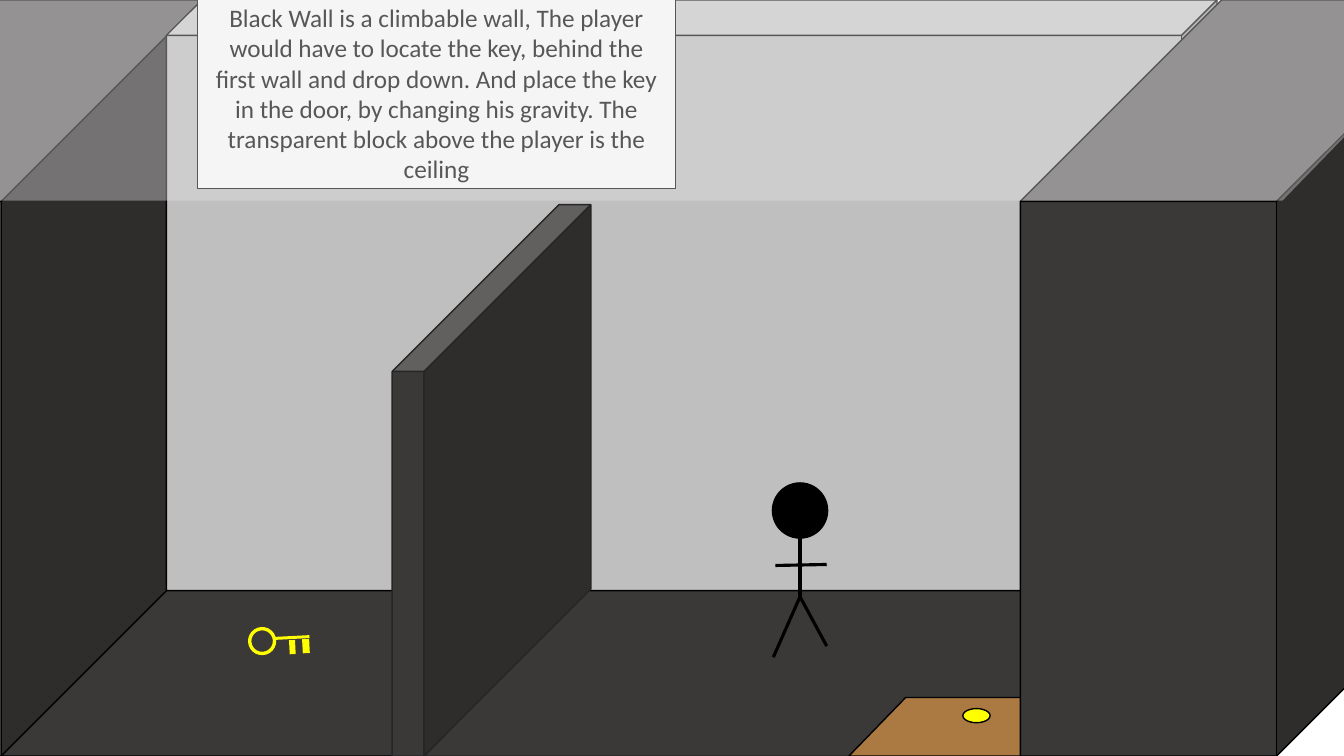
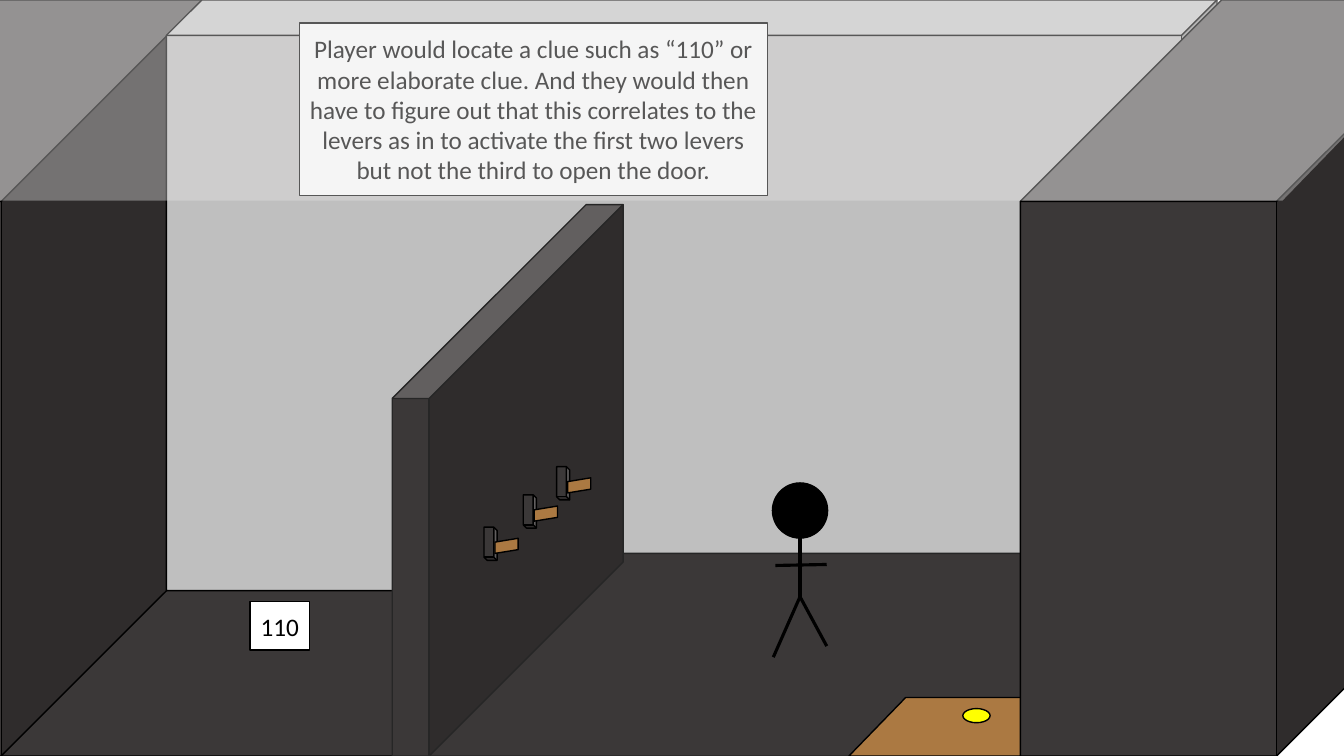
import pptx
import pptx.util
import pptx.dml.color
import pptx.enum.shapes
import pptx.enum.text
import lxml.etree
from pptx.oxml.ns import qn

Inches = pptx.util.Inches
Pt = pptx.util.Pt
SHAPE = pptx.enum.shapes.MSO_SHAPE

COLOURS = {
    "stone": "3B3838",
    "back_wall": "BFBFBF",
    "ceiling": "E7E6E6",
    "wood": "AB7942",
    "yellow": "FFFF00",
    "white": "FFFFFF",
    "black": "000000",
    "soft_edge": "262626",
}
FONT = "Calibri"
SLANT = 0.97
SIDE_DEPTH = 0.44
SIDE_WALL_WIDTH = 4.54
FLOOR_SIZE = (7.85, 2.01)
FLOOR_TOP = 5.49
ROOM_LEFT = -2.53
ROOM_WIDTH = 17.2
ROOM_HEIGHT = 7.5


def colour(name):
    return pptx.dml.color.RGBColor.from_string(COLOURS[name])


def add_block(shapes, kind, box, fill, line="black", weight=1, adjust=None, rotation=0):
    shape = shapes.add_shape(kind, *[Inches(length) for length in box])
    shape.shadow.inherit = False
    shape.fill.solid()
    shape.fill.fore_color.rgb = colour(fill)
    if line:
        shape.line.color.rgb = colour(line)
        shape.line.width = Pt(weight)
    else:
        shape.line.fill.background()
    if adjust is not None:
        shape.adjustments[0] = adjust
    shape.rotation = rotation
    return shape


def add_limb(shapes, start, end):
    limb = shapes.add_connector(
        pptx.enum.shapes.MSO_CONNECTOR.STRAIGHT,
        *[Inches(length) for length in (*start, *end)],
    )
    limb.line.color.rgb = colour("black")
    limb.line.width = Pt(2.25)
    lxml.etree.SubElement(limb._element.spPr, qn("a:effectLst"))


def add_label(slide, box, text):
    shape = add_block(slide.shapes, SHAPE.RECTANGLE, box, "white")
    frame = shape.text_frame
    frame.word_wrap = True
    frame.vertical_anchor = pptx.enum.text.MSO_ANCHOR.MIDDLE
    paragraph = frame.paragraphs[0]
    paragraph.text = text
    paragraph.alignment = pptx.enum.text.PP_ALIGN.CENTER
    paragraph.font.name = FONT
    paragraph.font.size = Pt(18)
    paragraph.font.color.rgb = colour("black")


def add_floor(slide, left, line):
    box = (left, FLOOR_TOP, *FLOOR_SIZE)
    add_block(slide.shapes, SHAPE.PARALLELOGRAM, box, "stone", line, adjust=SLANT)


def add_side_wall(slide, left):
    box = (left, 0, SIDE_WALL_WIDTH, ROOM_HEIGHT)
    add_block(slide.shapes, SHAPE.CUBE, box, "stone", adjust=SIDE_DEPTH)


def add_back_wall(slide):
    add_block(slide.shapes, SHAPE.CUBE, (1.65, 0, 10.42, 5.86), "back_wall", adjust=0.06)


def add_room(slide, floor_before_wall):
    add_floor(slide, -1.15, "black")
    add_side_wall(slide, ROOM_LEFT)
    if floor_before_wall:
        add_floor(slide, 4.21, "soft_edge")
        add_back_wall(slide)
    else:
        add_back_wall(slide)
        add_floor(slide, 4.21, "soft_edge")


def add_divider(slide, width):
    box = (3.89, 2.03, width, ROOM_HEIGHT - 2.03)
    add_block(slide.shapes, SHAPE.CUBE, box, "stone", "soft_edge", adjust=0.84)


def add_ceiling(slide):
    box = (ROOM_LEFT, -0.02, ROOM_WIDTH, 2.01)
    ceiling = add_block(slide.shapes, SHAPE.PARALLELOGRAM, box, "ceiling", None, adjust=SLANT)
    fill_colour = ceiling._element.spPr.find(qn("a:solidFill"))[0]
    lxml.etree.SubElement(fill_colour, qn("a:alpha")).set("val", "38000")


def add_door(slide, left, top):
    shapes = slide.shapes.add_group_shape().shapes
    add_block(shapes, SHAPE.PARALLELOGRAM, (left, top, 2.26, 0.58), "wood", adjust=SLANT)
    add_block(shapes, SHAPE.OVAL, (left + 1.13, top + 0.11, 0.27, 0.14), "yellow")


def add_player(slide, left, top):
    shapes = slide.shapes.add_group_shape().shapes
    head = 0.53
    middle = left + head / 2
    hip = (middle, top + 1.12)
    add_block(shapes, SHAPE.OVAL, (left, top, head, head), "black", weight=2.25)
    add_limb(shapes, (middle, top + head), hip)
    add_limb(shapes, hip, (left, top + 1.72))
    add_limb(shapes, hip, (left + head, top + 1.61))
    add_limb(shapes, (left + head, top + 0.8), (left + 0.02, top + 0.81))


def add_key(slide, left, top):
    shapes = slide.shapes.add_group_shape().shapes
    parts = [
        (SHAPE.DONUT, (0, 0, 0.28, 0.28), 0.12),
        (SHAPE.RECTANGLE, (0.26, 0.09, 0.35, 0.03), None),
        (SHAPE.RECTANGLE, (0.54, 0.12, 0.07, 0.14), None),
        (SHAPE.RECTANGLE, (0.41, 0.13, 0.06, 0.14), None),
    ]
    for kind, (x, y, width, height), adjust in parts:
        box = (left + x, top + y, width, height)
        add_block(shapes, kind, box, "yellow", None, adjust=adjust, rotation=357)


def add_lever(slide, left, top):
    shapes = slide.shapes.add_group_shape().shapes
    add_block(shapes, SHAPE.CUBE, (left, top, 0.33, 0.13), "stone", rotation=90)
    handle_box = (left + 0.25, top - 0.03, 0.15, 0.23)
    handle = add_block(shapes, SHAPE.PARALLELOGRAM, handle_box, "wood", rotation=90)
    handle._element.spPr.find(qn("a:xfrm")).set("flipH", "1")


def add_foreground(slide, note_box, note):
    add_door(slide, 8.42, 6.92)
    add_player(slide, 7.67, 4.8)
    add_side_wall(slide, 10.12)
    add_label(slide, note_box, note)
    add_ceiling(slide)


def build_key_slide(slide):
    add_room(slide, floor_before_wall=True)
    add_key(slide, 2.46, 6.22)
    add_divider(slide, 1.97)
    add_foreground(
        slide,
        (1.96, -0.02, 4.74, 1.89),
        "Black Wall is a climbable wall, The player would have to locate the key, "
        "behind the first wall and drop down. And place the key in the door, by "
        "changing his gravity. The transparent block above the player is the ceiling",
    )


def build_lever_slide(slide):
    add_room(slide, floor_before_wall=False)
    add_divider(slide, 2.29)
    add_label(slide, (2.48, 5.97, 0.59, 0.48), "110")
    for left, top in [(5.09, 5.01), (5.42, 4.73), (4.7, 5.33)]:
        add_lever(slide, left, top)
    add_foreground(
        slide,
        (2.97, 0.23, 4.64, 1.71),
        "Player would locate a clue such as “110” or more elaborate clue. And they "
        "would then have to figure out that this correlates to the levers as in to "
        "activate the first two levers but not the third to open the door.",
    )


presentation = pptx.Presentation()
presentation.slide_width = Inches(13.33)
presentation.slide_height = Inches(ROOM_HEIGHT)
for build in (build_key_slide, build_lever_slide):
    build(presentation.slides.add_slide(presentation.slide_layouts[6]))
presentation.save("out.pptx")
